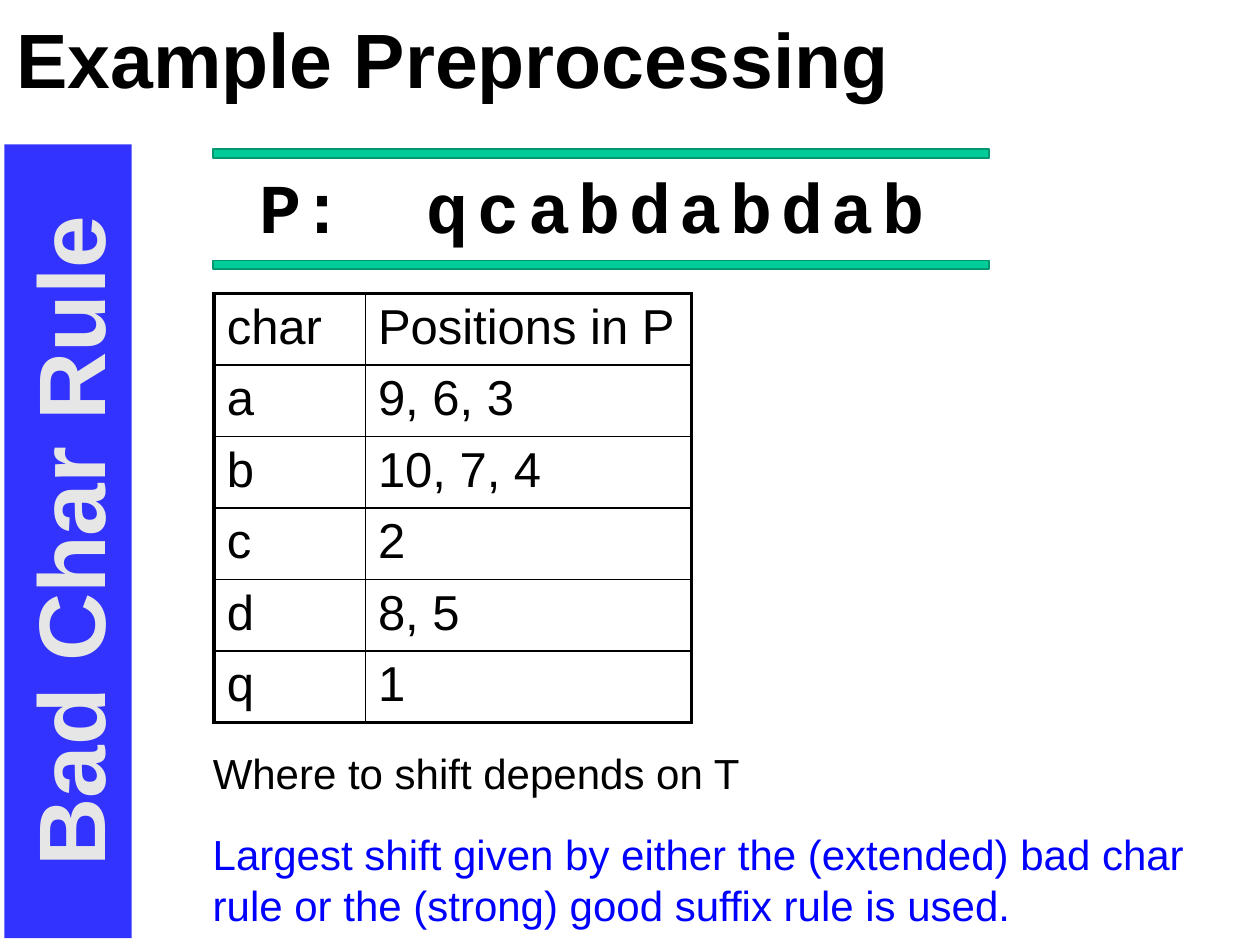
from lxml.etree import SubElement
from pptx import Presentation
from pptx.dml.color import RGBColor
from pptx.enum.shapes import MSO_SHAPE
from pptx.enum.text import MSO_ANCHOR, PP_ALIGN
from pptx.oxml import parse_xml
from pptx.oxml.ns import nsdecls, qn
from pptx.util import Inches, Pt

POSITIONS = [
    ("char", "Positions in P"),
    ("a", "9, 6, 3"),
    ("b", "10, 7, 4"),
    ("c", "2"),
    ("d", "8, 5"),
    ("q", "1"),
]
COLUMN_WIDTHS = (1.2, 2.59)
OUTER_LINE, INNER_LINE = 2.25, 1


def color(value):
    return RGBColor.from_string(value)


def set_font(para, size, value="000000", bold=False, name="Arial"):
    para.font.name = name
    para.font.size = Pt(size)
    para.font.bold = bold
    para.font.color.rgb = color(value)


def add_text(page, left, top, width, height, text, size, **font):
    box = page.shapes.add_textbox(Inches(left), Inches(top), Inches(width), Inches(height))
    box.text_frame.word_wrap = True
    para = box.text_frame.paragraphs[0]
    para.text = text
    set_font(para, size, **font)
    return box


def add_shape(page, kind, left, top, width, height, fill):
    shape = page.shapes.add_shape(kind, Inches(left), Inches(top), Inches(width), Inches(height))
    shape.shadow.inherit = False
    shape.fill.solid()
    shape.fill.fore_color.rgb = color(fill)
    return shape


def add_pattern(page):
    """Label and pattern, set apart by a tab, with letterspaced pattern."""
    box = page.shapes.add_textbox(Inches(1.96), Inches(1.25), Inches(5.62), Inches(0.77))
    box.text_frame.word_wrap = True
    para = box.text_frame.paragraphs[0]
    tabs = SubElement(para._p.get_or_add_pPr(), qn("a:tabLst"))
    SubElement(tabs, qn("a:tab"), pos=str(Inches(1.33)), algn="l")
    set_font(para, 40, bold=True, name="Courier New")
    para.add_run().text = "P:\t"
    pattern = para.add_run()
    pattern.text = "qcabdabdab"
    pattern.font._element.set("spc", "500")


def set_borders(cell, widths):
    """Draw black borders; widths are left, right, top, bottom in points."""
    properties = cell._tc.get_or_add_tcPr()
    for index, (side, width) in enumerate(zip("LRTB", widths)):
        line = parse_xml(
            f'<a:ln{side} {nsdecls("a")} w="{Pt(width)}"><a:solidFill>'
            f'<a:srgbClr val="000000"/></a:solidFill></a:ln{side}>'
        )
        properties.insert(index, line)


def add_positions_table(page):
    last_row, last_column = len(POSITIONS) - 1, len(COLUMN_WIDTHS) - 1
    frame = page.shapes.add_table(
        len(POSITIONS), len(COLUMN_WIDTHS),
        Inches(1.7), Inches(2.33), Inches(sum(COLUMN_WIDTHS)), Inches(3.4),
    )
    table = frame.table
    table.first_row = table.horz_banding = False
    for column, width in zip(table.columns, COLUMN_WIDTHS):
        column.width = Inches(width)
    for row, texts in enumerate(POSITIONS):
        for column, text in enumerate(texts):
            cell = table.cell(row, column)
            cell.fill.background()
            cell.text = text
            set_font(cell.text_frame.paragraphs[0], 28)
            on_edge = (column == 0, column == last_column, row == 0, row == last_row)
            set_borders(cell, [OUTER_LINE if edge else INNER_LINE for edge in on_edge])


def add_side_banner(page):
    banner = add_shape(page, MSO_SHAPE.RECTANGLE, -2.61, 3.79, 6.3, 1.01, "3333FF")
    banner.rotation = 270
    banner.line.fill.background()
    banner.text_frame.text = "Bad Char Rule"
    para = banner.text_frame.paragraphs[0]
    para.alignment = PP_ALIGN.CENTER
    set_font(para, 54, "E6E6E6", bold=True)


def add_pattern_bars(page):
    bars = add_shape(page, MSO_SHAPE.MATH_EQUAL, 0.58, 0.89, 8.38, 1.54, "00CC99")
    bars.adjustments[0] = 0.045
    bars.adjustments[1] = 0.53
    bars.line.color.rgb = color("009771")
    bars.line.width = Pt(1)


def main():
    deck = Presentation()
    deck.slide_width, deck.slide_height = Inches(10), Inches(7.5)
    page = deck.slides.add_slide(deck.slide_layouts[6])
    title = add_text(page, 0.03, 0.06, 9.47, 0.79, "Example Preprocessing", 44, bold=True)
    title.text_frame.vertical_anchor = MSO_ANCHOR.MIDDLE
    add_pattern(page)
    add_positions_table(page)
    add_side_banner(page)
    add_text(page, 1.59, 5.88, 4.42, 0.5, "Where to shift depends on T", 24)
    add_text(
        page, 1.59, 6.53, 8.27, 0.91,
        "Largest shift given by either the (extended) bad char rule "
        "or the (strong) good suffix rule is used.",
        24, value="0000FF",
    )
    add_pattern_bars(page)
    deck.save("out.pptx")


if __name__ == "__main__":
    main()
